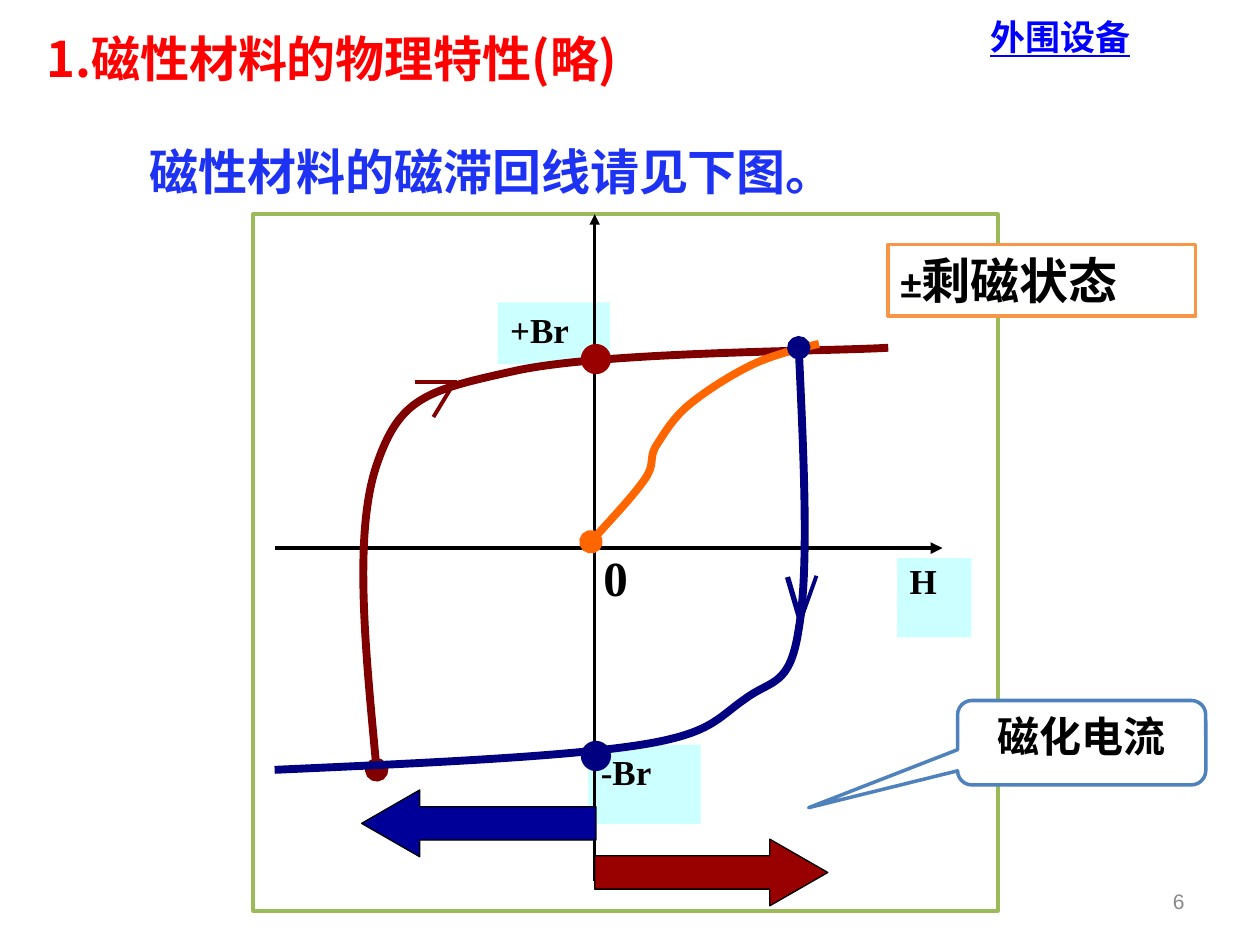
import pptx
import pptx.util
import pptx.dml.color
import pptx.enum.shapes
import pptx.enum.text
import pptx.oxml
import pptx.oxml.ns

PX = 9144  # 100 px to the inch
HUE = {
    "black": "000000", "white": "FFFFFF", "cyan": "CCFFFF", "green": "9BBB59",
    "navy": "000080", "blue": "000099", "maroon": "800000", "brick": "990000",
    "orange": "FF6600", "peach": "F79646", "steel": "4F81BD", "red": "FF0000",
    "royal": "1E32F4", "link": "0000FF", "gray": "898989",
}
RGB = {k: pptx.dml.color.RGBColor.from_string(v) for k, v in HUE.items()}
KIND = pptx.enum.shapes.MSO_SHAPE
ALIGN = pptx.enum.text.PP_ALIGN
ANCHOR = pptx.enum.text.MSO_ANCHOR
CJK = "Noto Sans CJK SC"
ROMAN = "Times New Roman"

prs = pptx.Presentation()
prs.slide_width, prs.slide_height = 1000 * PX, 750 * PX
slide = prs.slides.add_slide(prs.slide_layouts[6])
shapes = slide.shapes


def draw(kind, rect, fill=None, line=None, wide=2):
    """Add a preset shape, or a text box when kind is None."""
    rect = [n * PX for n in rect]
    if kind is None:
        return shapes.add_textbox(*rect)
    shape = shapes.add_shape(kind, *rect)
    shape.shadow.inherit = False
    shape.fill.solid()
    shape.fill.fore_color.rgb = RGB[fill]
    if line:
        shape.line.color.rgb = RGB[line]
        shape.line.width = pptx.util.Pt(wide)
    else:
        shape.line.fill.background()
    return shape


def write(shape, text, size, face, hue, bold=True, mid=False, align=ALIGN.LEFT, top=5):
    """Set one line of text and format its runs."""
    frame = shape.text_frame
    frame.text = text
    frame.word_wrap = True
    frame.margin_left = frame.margin_right = 10 * PX
    frame.margin_top, frame.margin_bottom = top * PX, 5 * PX
    frame.vertical_anchor = ANCHOR.MIDDLE if mid else ANCHOR.TOP
    para = frame.paragraphs[0]
    para.alignment = align
    for run in para.runs:
        font = run.font
        font.size, font.bold, font.name = pptx.util.Pt(size), bold, face
        font.color.rgb = RGB[hue]
        if face == CJK:
            east = pptx.oxml.ns.qn("a:ea")
            font._element.makeelement(east)
            font._element.append(font._element.makeelement(east, {"typeface": face}))
    return para


# Chart panel and axis labels
draw(KIND.RECTANGLE, (201, 170, 591, 553), "white", "green")
for text, rect, top in (
    ("H", (712, 443, 59, 63), 1),
    ("-Br", (467, 591, 89, 63), 5),
    ("+Br", (395, 240, 89, 49), 5),
):
    write(draw(KIND.RECTANGLE, rect, "cyan"), text, 20, ROMAN, "black", top=top)

# Axes and direction marks
for x1, y1, x2, y2, hue, wide, tip in (
    (625, 458, 635, 492, "navy", 3, None),
    (648, 457, 633, 499, "navy", 2.25, None),
    (329, 303, 363, 303, "maroon", 2.25, None),
    (344, 331, 361, 303, "maroon", 2.25, None),
    (472, 170, 472, 699, "black", 1.5, "headEnd"),
    (218, 435, 748, 435, "black", 2.25, "tailEnd"),
):
    link = shapes.add_connector(
        pptx.enum.shapes.MSO_CONNECTOR.STRAIGHT, x1 * PX, y1 * PX, x2 * PX, y2 * PX)
    link.line.color.rgb = RGB[hue]
    link.line.width = pptx.util.Pt(wide)
    if tip:
        pptx.oxml.ns.qn("a:ln")
        end = link._element.makeelement(pptx.oxml.ns.qn("a:" + tip), {"type": "triangle"})
        link.line._get_or_add_ln().append(end)
    link._element.spPr.append(link._element.makeelement(pptx.oxml.ns.qn("a:effectLst")))

# Magnetising arrows
for kind, rect, hue in (
    (KIND.LEFT_ARROW, (287, 627, 186, 53), "blue"),
    (KIND.RIGHT_ARROW, (472, 666, 185, 53), "brick"),
):
    arrow = draw(kind, rect, hue, "black", 0.75)
    arrow.adjustments[0], arrow.adjustments[1] = 0.5, 0.87

# Hysteresis curves: a start, then two controls and an end for each piece
for hue, pts in (
    ("maroon", [(299, 611), (290, 516), (281, 422), (299, 369), (317, 316), (338, 310),
                (406, 295), (474, 279), (655, 279), (705, 276)]),
    ("orange", [(469, 430), (486, 411), (503, 393), (512, 380), (520, 368), (515, 365),
                (520, 355), (526, 346), (533, 333), (546, 322), (559, 311), (581, 297),
                (598, 289), (615, 281), (641, 275), (650, 273)]),
    ("navy", [(634, 276), (638, 364), (642, 453), (634, 499), (627, 546), (612, 539),
              (591, 555), (569, 570), (565, 583), (503, 592), (441, 601), (329, 606),
              (218, 611)]),
):
    pen = shapes.build_freeform(*pts[0], scale=PX)
    pen.add_line_segments(pts[1:], close=False)
    curve = pen.convert_to_shape()
    curve.shadow.inherit = False
    curve.fill.background()
    curve.line.color.rgb = RGB[hue]
    curve.line.width = pptx.util.Pt(4.5)
    head = curve._element.makeelement(pptx.oxml.ns.qn("a:headEnd"), {"type": "oval"})
    curve.line._get_or_add_ln().append(head)
    # Turn each three straight steps into one Bezier piece
    steps = list(curve._element.iter(pptx.oxml.ns.qn("a:lnTo")))
    for i in range(0, len(steps), 3):
        piece = curve._element.makeelement(pptx.oxml.ns.qn("a:cubicBezTo"))
        steps[i].addprevious(piece)
        for step in steps[i:i + 3]:
            piece.append(step[0])
            step.getparent().remove(step)

# Remanence points
for y, hue in ((273, "brick"), (588, "navy")):
    draw(KIND.OVAL, (461, y, 24, 24), hue)

# Headings, origin and page number
write(draw(None, (27, 17, 898, 58)), "1.磁性材料的物理特性(略)", 28, CJK, "red", mid=True)
intro = write(draw(None, (20, 91, 925, 630)), "磁性材料的磁滞回线请见下图。", 28, CJK,
              "royal", top=21)
intro._p.get_or_add_pPr().set("indent", str(89 * PX))
topic = write(draw(None, (776, 0, 224, 58)), "外围设备", 20, "Arial", "link", mid=True)
topic.runs[0].font.underline = True
write(draw(None, (469, 430, 32, 57)), "0", 28, ROMAN, "black")
write(draw(None, (717, 695, 233, 40)), "6", 12, "Arial", "gray", bold=False, mid=True,
      align=ALIGN.RIGHT)

# Callout and state label
note = draw(KIND.ROUNDED_RECTANGULAR_CALLOUT, (760, 556, 197, 67), "white", "steel")
for i, part in enumerate((-1.1, 0.77, 0.17)):
    note.adjustments[i] = part
write(note, "磁化电流", 24, "Calibri", "black", align=ALIGN.CENTER)
state = write(draw(KIND.RECTANGLE, (705, 194, 244, 57), "white", "peach"),
              "±", 24, "Calibri", "black")
rest = state.add_run()
rest.text = "剩磁状态"
rest.font.size, rest.font.bold, rest.font.name = pptx.util.Pt(28), True, "Calibri"
rest.font.color.rgb = RGB["black"]

prs.save("out.pptx")
